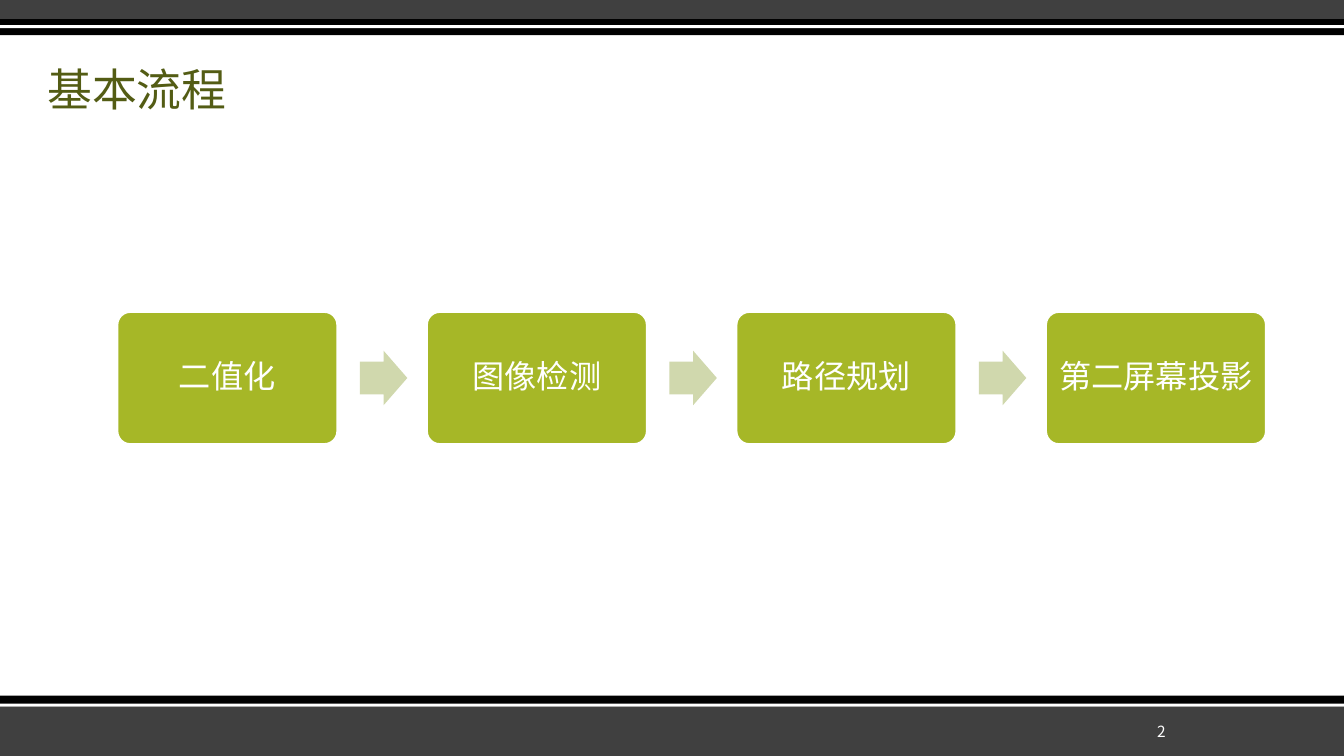
from pptx import Presentation
from pptx.dml.color import RGBColor
from pptx.enum.shapes import MSO_SHAPE
from pptx.enum.text import MSO_ANCHOR, PP_ALIGN
from pptx.oxml.ns import qn
from pptx.util import Inches, Pt
from lxml import etree

CHARCOAL = RGBColor(0x40, 0x40, 0x40)
BLACK = RGBColor(0x00, 0x00, 0x00)
WHITE = RGBColor(0xFF, 0xFF, 0xFF)
OLIVE = RGBColor(0x53, 0x5C, 0x14)
GREEN = RGBColor(0xA6, 0xB7, 0x27)
PALE_GREEN = RGBColor(0xD0, 0xD8, 0xAD)

PAGE_WIDTH, PAGE_HEIGHT = 13.33, 7.5


class FlowSlide:
    cjk_font = "Noto Sans CJK SC"
    step_font = "Lato"

    def __init__(self, page):
        self.page = page

    def shape(self, kind, left, top, width, height, fill, adjustments=()):
        shape = self.page.shapes.add_shape(
            kind, Inches(left), Inches(top), Inches(width), Inches(height))
        shape.shadow.inherit = False
        shape.fill.solid()
        shape.fill.fore_color.rgb = fill
        shape.line.fill.background()
        for index, value in enumerate(adjustments):
            shape.adjustments[index] = value
        return shape

    def band(self, top, height, fill):
        self.shape(MSO_SHAPE.RECTANGLE, 0, top, PAGE_WIDTH, height, fill)

    def set_text(self, shape, text, size, color, font, align, anchor, spacing=1.0):
        frame = shape.text_frame
        frame.word_wrap = True
        frame.vertical_anchor = anchor
        frame.text = text
        para = frame.paragraphs[0]
        para.alignment = align
        para.line_spacing = spacing
        span = para.runs[0]
        span.font.size = Pt(size)
        span.font.color.rgb = color
        span.font.name = font
        east_asian = etree.SubElement(span.font._element, qn("a:ea"))
        east_asian.set("typeface", self.cjk_font)

    def label(self, left, top, width, height, text, size, color, **style):
        box = self.page.shapes.add_textbox(
            Inches(left), Inches(top), Inches(width), Inches(height))
        self.set_text(box, text, size, color, self.cjk_font, **style)

    def step(self, left, top, width, height, text):
        box = self.shape(MSO_SHAPE.ROUNDED_RECTANGLE, left, top, width, height,
                         GREEN, [0.1])
        box.line.color.rgb = WHITE
        box.line.width = Pt(2)
        box.text_frame.margin_left = box.text_frame.margin_right = Inches(0.05)
        self.set_text(box, text, 23, WHITE, self.step_font,
                      PP_ALIGN.CENTER, MSO_ANCHOR.MIDDLE, 0.9)

    def arrow(self, left, top, width, height):
        self.shape(MSO_SHAPE.RIGHT_ARROW, left, top, width, height,
                   PALE_GREEN, [0.6, 0.5])


deck = Presentation()
deck.slide_width, deck.slide_height = Inches(PAGE_WIDTH), Inches(PAGE_HEIGHT)
slide = FlowSlide(deck.slides.add_slide(deck.slide_layouts[6]))

# Bottom and top bands
for top, height, fill in [
    (7, 0.5, CHARCOAL), (6.9, 0.11, BLACK), (6.98, 0.03, WHITE),
    (0, 0.19, CHARCOAL), (0.19, 0.16, BLACK), (0.25, 0.03, WHITE),
]:
    slide.band(top, height, fill)

# Title
slide.label(0.37, 0.03, 10, 1.17, "基本流程", 32, OLIVE,
            align=PP_ALIGN.LEFT, anchor=MSO_ANCHOR.BOTTOM, spacing=0.9)

# Process steps, with an arrow before every step but the first
STEPS = ["二值化", "图像检测", "路径规划", "第二屏幕投影"]
FIRST_LEFT, PITCH, ARROW_LEAD = 1.16, 3.07, 0.66
for number, text in enumerate(STEPS):
    left = FIRST_LEFT + number * PITCH
    if number:
        slide.arrow(left - ARROW_LEAD, 3.48, 0.47, 0.54)
    slide.step(left, 3.09, 2.19, 1.32, text)

# Page number
slide.label(10.64, 7.13, 1.02, 0.25, "2", 11, WHITE,
            align=PP_ALIGN.RIGHT, anchor=MSO_ANCHOR.MIDDLE)

deck.save("out.pptx")
